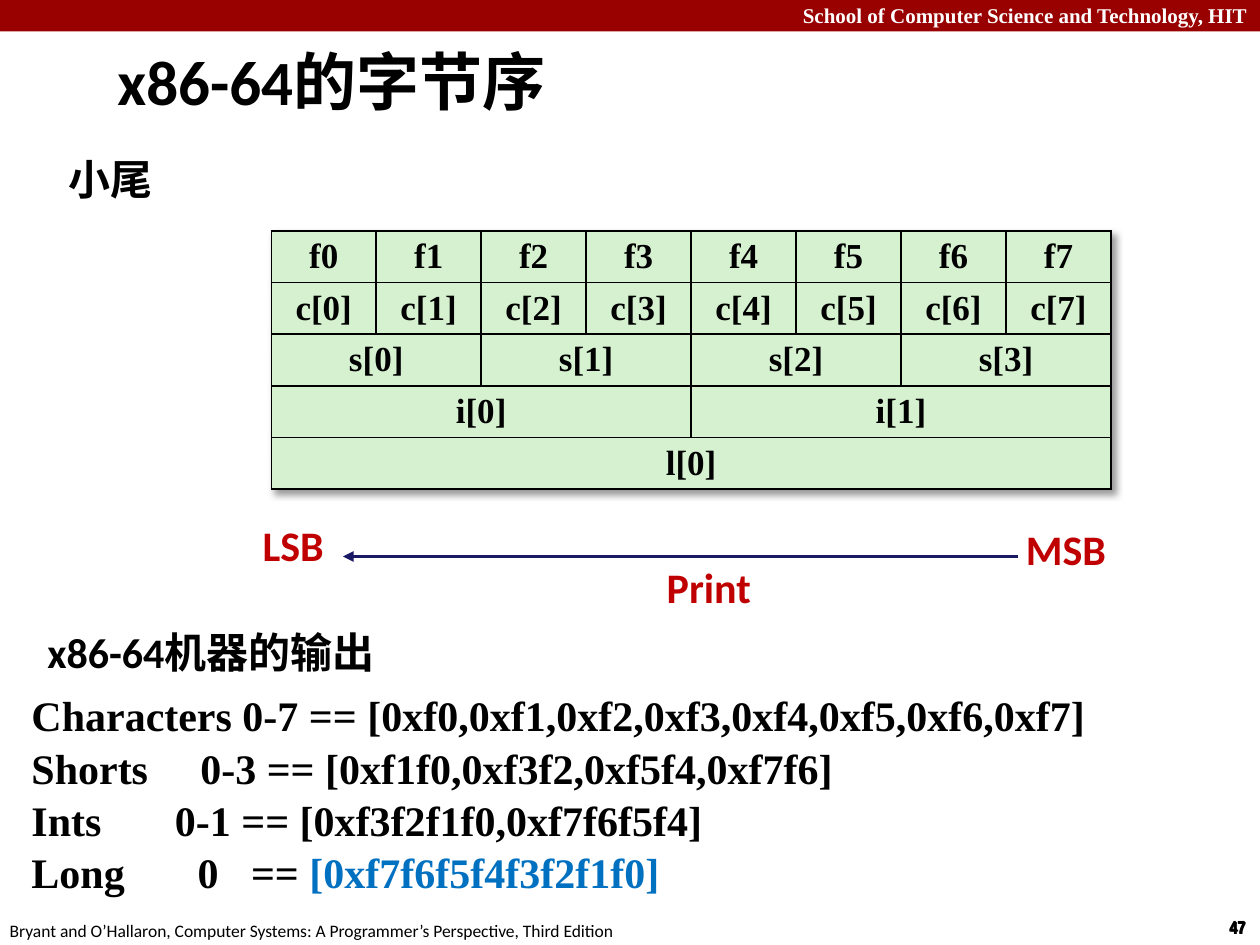
from pptx import Presentation
from pptx.dml.color import RGBColor
from pptx.enum.shapes import MSO_CONNECTOR, MSO_SHAPE
from pptx.enum.text import MSO_ANCHOR, PP_ALIGN
from pptx.oxml import parse_xml
from pptx.oxml.ns import nsdecls, qn
from pptx.util import Pt
from lxml.etree import SubElement

HUES = {
    "black": "000000", "white": "FFFFFF", "banner": "990000", "label": "C00000",
    "arrow": "191966", "cell": "D5F1CF", "long": "0070C0",
}
SERIF = "Times New Roman"
SANS = "Calibri"
NARROW = "Arial Narrow"


def tint(name):
    return RGBColor.from_string(HUES[name])


class Painter:
    def __init__(self, slide, face=SANS, size=24, inset=3):
        self.slide = slide
        self.face = face
        self.size = size
        self.inset = inset

    def style(self, font, hue="black", size=None, face=None, bold=True):
        font.name = face or self.face
        font.size = Pt(size or self.size)
        font.bold = bold
        font.color.rgb = tint(hue)

    def text(self, x, y, w, h, lines, align=PP_ALIGN.LEFT, inset=None,
             wrap=True, anchor=MSO_ANCHOR.TOP, pitch=None, **look):
        box = self.slide.shapes.add_textbox(Pt(x), Pt(y), Pt(w), Pt(h))
        frame = box.text_frame
        frame.text = lines
        frame.word_wrap = wrap
        frame.vertical_anchor = anchor
        if inset is None:
            gap = Pt(self.inset)
            frame.margin_left = frame.margin_right = gap
            frame.margin_top = frame.margin_bottom = gap
        for para in frame.paragraphs:
            para.alignment = align
            if pitch:
                para.line_spacing = pitch
            for run in para.runs:
                self.style(run.font, **look)
        return frame

    def tabs(self, para, stops):
        group = SubElement(para._p.get_or_add_pPr(), qn("a:tabLst"))
        for stop in stops:
            SubElement(group, qn("a:tab"), pos=str(Pt(stop)), algn="l")

    def bar(self, x, y, w, h, hue):
        shape = self.slide.shapes.add_shape(MSO_SHAPE.RECTANGLE, Pt(x), Pt(y), Pt(w), Pt(h))
        shape.shadow.inherit = False
        shape.fill.solid()
        shape.fill.fore_color.rgb = tint(hue)
        shape.line.fill.background()

    def arrow(self, x, y, end, hue):
        line = self.slide.shapes.add_connector(MSO_CONNECTOR.STRAIGHT, Pt(x), Pt(y), Pt(end), Pt(y))
        line.line.width = Pt(2)
        line.line.color.rgb = tint(hue)
        SubElement(line.line._get_or_add_ln(), qn("a:headEnd"), type="triangle")
        SubElement(line._element.spPr, qn("a:effectLst"))

    def border(self, cell):
        props = cell._tc.get_or_add_tcPr()
        for side in ("lnL", "lnR", "lnT", "lnB"):
            props.append(parse_xml(
                f'<a:{side} {nsdecls("a")} w="{Pt(1)}"><a:solidFill>'
                f'<a:srgbClr val="{HUES["black"]}"/></a:solidFill></a:{side}>'))

    def table(self, x, y, wide, high, rows):
        count = len(rows[0])
        frame = self.slide.shapes.add_table(
            len(rows), count, Pt(x), Pt(y), Pt(wide * count), Pt(high * len(rows)))
        grid = frame.table
        grid.first_row = grid.horz_banding = False
        grid._tbl.tblPr.insert(0, parse_xml(
            f'<a:effectLst {nsdecls("a")}><a:outerShdw blurRad="{Pt(4)}" dist="{Pt(3)}" '
            f'dir="2700000"><a:srgbClr val="{HUES["black"]}"><a:alpha val="40000"/>'
            '</a:srgbClr></a:outerShdw></a:effectLst>'))
        for col in grid.columns:
            col.width = Pt(wide)
        for r, names in enumerate(rows):
            grid.rows[r].height = Pt(high)
            span = count // len(names)
            for c, name in enumerate(names):
                cell = grid.cell(r, c * span)
                if span > 1:
                    cell.merge(grid.cell(r, (c + 1) * span - 1))
                cell.text = name
                para = cell.text_frame.paragraphs[0]
                para.alignment = PP_ALIGN.CENTER
                self.style(para.runs[0].font, size=20, face=SERIF)
        for cell in grid.iter_cells():
            cell.vertical_anchor = MSO_ANCHOR.MIDDLE
            cell.margin_top = cell.margin_bottom = Pt(2)
            self.border(cell)
            cell.fill.solid()
            cell.fill.fore_color.rgb = tint("cell")


def main():
    deck = Presentation()
    deck.slide_width, deck.slide_height = Pt(720), Pt(540)
    pen = Painter(deck.slides.add_slide(deck.slide_layouts[6]))

    pen.bar(0, 0, 720, 18, "banner")
    pen.text(0, -2, 720, 21.6, "School of Computer Science and Technology, HIT",
             align=PP_ALIGN.RIGHT, inset="auto", hue="white", size=12, face=SERIF)
    for x, y in ((695.5, 520.5), (695.5, 520), (696, 520.5)):
        pen.text(x, y, 24.5, 19.4, "47", inset="auto", wrap=False, size=10, face=NARROW)
    pen.text(-1.5, 522, 366, 19.4,
             "Bryant and O’Hallaron, Computer Systems: A Programmer’s Perspective, Third Edition",
             inset="auto", wrap=False, size=10, bold=False)

    pen.text(60, 0, 510, 91.5, "x86-64的字节序", inset="auto", anchor=MSO_ANCHOR.MIDDLE, size=36)
    pen.text(36, 84.5, 206, 35, "小尾")
    pen.text(24, 355, 289, 35, "x86-64机器的输出")

    dump = pen.text(15, 390, 690, 132, "\n".join((
        "Characters 0-7 == [0xf0,0xf1,0xf2,0xf3,0xf4,0xf5,0xf6,0xf7]",
        "Shorts\t0-3 == [0xf1f0,0xf3f2,0xf5f4,0xf7f6]",
        "Ints\t0-1 == [0xf3f2f1f0,0xf7f6f5f4]",
        "Long\t0\t== ")), pitch=1.04, face=SERIF)
    for para, stops in zip(dump.paragraphs[1:], ((96.5,), (82,), (95, 125.5))):
        pen.tabs(para, stops)
    tail = dump.paragraphs[-1].add_run()
    tail.text = "[0xf7f6f5f4f3f2f1f0]"
    pen.style(tail.font, "long", face=SERIF)

    kinds = (("c", 8), ("s", 4), ("i", 2), ("l", 1))
    rows = [[f"f{n}" for n in range(8)]]
    rows += [[f"{kind}[{n}]" for n in range(count)] for kind, count in kinds]
    pen.table(155, 132, 60, 29.5, rows)

    for x, y, w, name in ((146, 294, 42, "LSB"), (582.5, 296, 52.5, "MSB"), (378, 318, 55, "Print")):
        side = PP_ALIGN.LEFT if name == "Print" else PP_ALIGN.RIGHT
        pen.text(x, y, w, 35, name, align=side, wrap=False, hue="label")
    pen.arrow(196, 318, 582, "arrow")

    deck.save("out.pptx")


if __name__ == "__main__":
    main()
